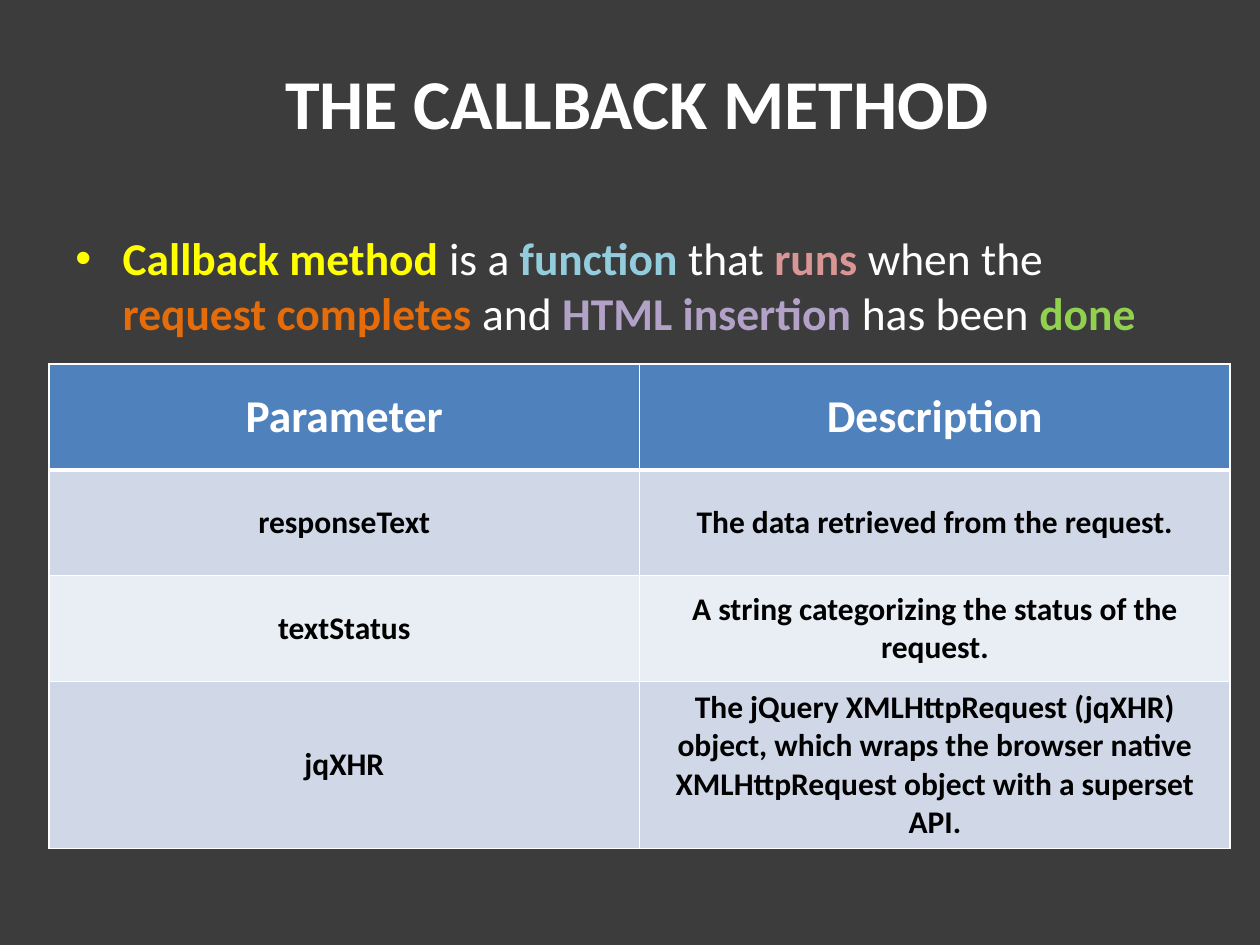
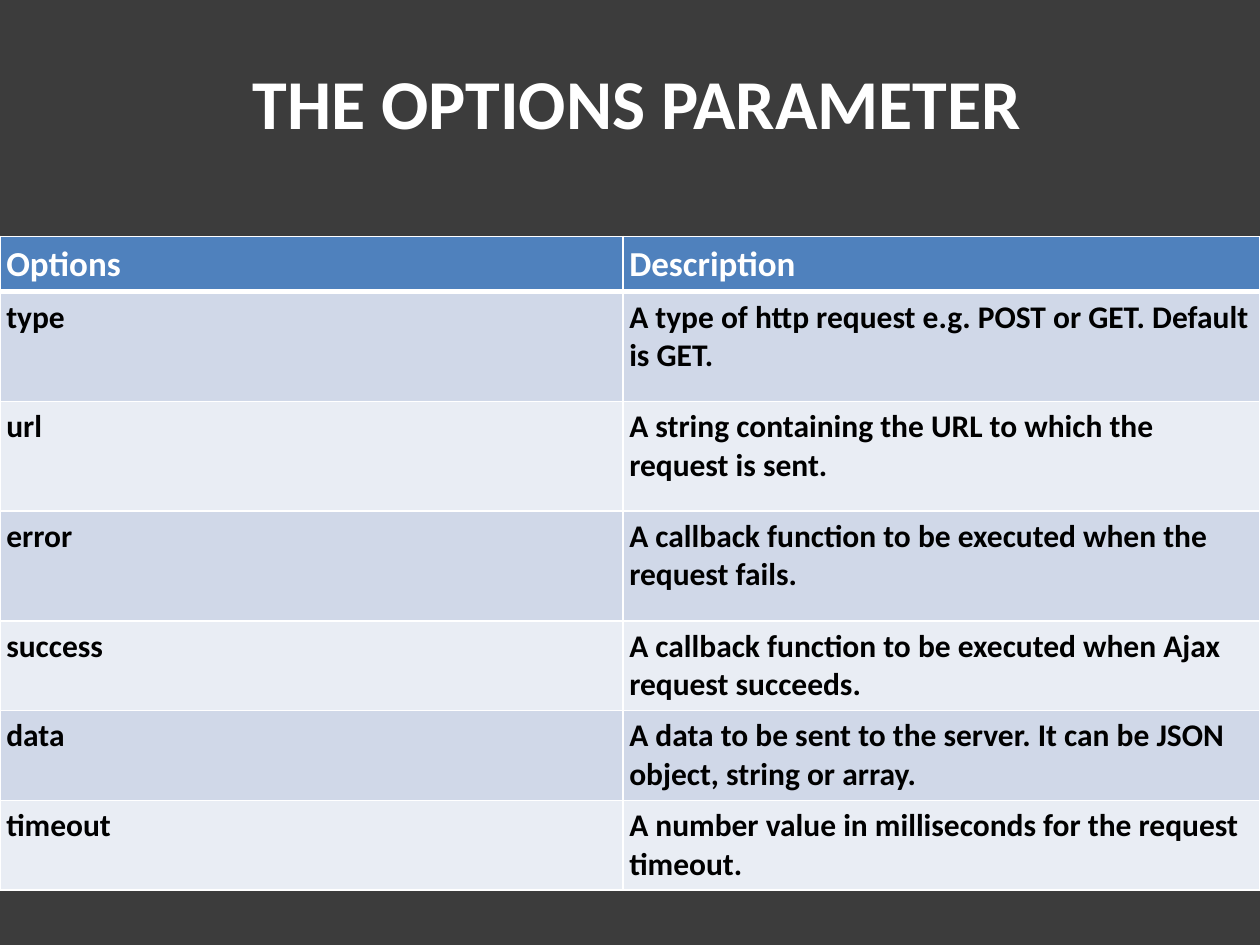
import lxml.etree
import pptx
import pptx.dml.color
import pptx.enum.text
import pptx.oxml
import pptx.oxml.ns
import pptx.util

Pt = pptx.util.Pt
ALIGN = pptx.enum.text.PP_ALIGN
ANCHOR = pptx.enum.text.MSO_ANCHOR

# Shared look
FONT = "Calibri"
BACKGROUND = "3C3C3C"
WHITE, BLACK = "FFFFFF", "000000"
HEADER_FILL = "4F81BD"
BAND_FILLS = ("D0D8E8", "E9EDF4")
TITLE_BOX = (28, 28, 672, 60)
THIN, THICK = 1, 3

# Content
CALLBACK_SUMMARY = [
    ("Callback method ", "FFFF00"),
    ("is a ", None),
    ("function", "93CDDD"),
    (" that ", None),
    ("runs", "D99694"),
    (" when the ", None),
    ("request completes", "E46C0A"),
    (" and ", None),
    ("HTML insertion ", "B3A2C7"),
    ("has been ", None),
    ("done", "92D050"),
]
CALLBACK_PARAMETERS = [
    ("Parameter", "Description"),
    ("responseText", "The data retrieved from the request."),
    ("textStatus", "A string categorizing the status of the request."),
    ("jqXHR", "The jQuery XMLHttpRequest (jqXHR) object, which wraps the browser "
              "native XMLHttpRequest object with a superset API."),
]
AJAX_OPTIONS = [
    ("Options", "Description"),
    ("type", "A type of http request e.g. POST or GET. Default is GET."),
    ("url", "A string containing the URL to which the request is sent."),
    ("error", "A callback function to be executed when the request fails."),
    ("success", "A callback function to be executed when Ajax request succeeds."),
    ("data", "A data to be sent to the server. It can be JSON object, string or array."),
    ("timeout", "A number value in milliseconds for the request timeout."),
]


def rgb(color):
    return pptx.dml.color.RGBColor.from_string(color)


def add_run(paragraph, text, size, color, bold=True):
    run = paragraph.add_run()
    run.text = text
    run.font.name = FONT
    run.font.size = Pt(size)
    run.font.bold = bold
    run.font.color.rgb = rgb(color)


def add_titled_slide(deck, heading):
    slide = deck.slides.add_slide(deck.slide_layouts[5])
    slide.background.fill.solid()
    slide.background.fill.fore_color.rgb = rgb(BACKGROUND)
    title = slide.shapes.title
    title.left, title.top, title.width, title.height = map(Pt, TITLE_BOX)
    frame = title.text_frame
    frame.vertical_anchor = ANCHOR.MIDDLE
    frame.paragraphs[0].alignment = ALIGN.CENTER
    add_run(frame.paragraphs[0], heading, 40, WHITE)
    return slide


def add_bullet(slide, box, pieces, size):
    """Add one bulleted paragraph; pieces with a colour are bold keywords."""
    frame = slide.shapes.add_textbox(*map(Pt, box)).text_frame
    frame.word_wrap = True
    paragraph = frame.paragraphs[0]
    properties = paragraph._p.get_or_add_pPr()
    properties.set("marL", str(Pt(27)))
    properties.set("indent", str(-Pt(27)))
    for tag, attribute, value in (("a:buFont", "typeface", "Arial"),
                                  ("a:buChar", "char", "•")):
        mark = lxml.etree.SubElement(properties, pptx.oxml.ns.qn(tag))
        mark.set(attribute, value)
    for text, keyword_color in pieces:
        add_run(paragraph, text, size, keyword_color or WHITE, bool(keyword_color))


def set_borders(cell, top, bottom):
    """Draw white borders; must run before the cell gets its fill."""
    properties = cell._tc.get_or_add_tcPr()
    for side, width in (("L", THIN), ("R", THIN), ("T", top), ("B", bottom)):
        properties.append(pptx.oxml.parse_xml(
            f'<a:ln{side} {pptx.oxml.ns.nsdecls("a")} w="{Pt(width)}">'
            f'<a:solidFill><a:srgbClr val="{WHITE}"/></a:solidFill></a:ln{side}>'))


def add_banded_table(slide, position, widths, heights, entries, header_size,
                     side_inset, alignment, header_anchor, body_anchor):
    frame = slide.shapes.add_table(
        len(entries), len(widths), *map(Pt, position), Pt(sum(widths)), Pt(sum(heights)))
    table = frame.table
    for column, width in zip(table.columns, widths):
        column.width = Pt(width)
    for index, (height, entry) in enumerate(zip(heights, entries)):
        table.rows[index].height = Pt(height)
        header = index == 0
        for cell, text in zip(table.rows[index].cells, entry):
            set_borders(cell, THICK if index == 1 else THIN, THICK if header else THIN)
            cell.fill.solid()
            cell.fill.fore_color.rgb = rgb(HEADER_FILL if header else BAND_FILLS[(index - 1) % 2])
            cell.margin_left = cell.margin_right = Pt(side_inset)
            cell.margin_top = cell.margin_bottom = Pt(3.6)
            cell.vertical_anchor = header_anchor if header else body_anchor
            paragraph = cell.text_frame.paragraphs[0]
            paragraph.alignment = alignment
            add_run(paragraph, text, header_size if header else 18, WHITE if header else BLACK)


def main():
    deck = pptx.Presentation()
    deck.slide_width, deck.slide_height = Pt(720), Pt(540)

    # Callback method and its parameters
    callback = add_titled_slide(deck, "THE CALLBACK METHOD")
    add_bullet(callback, (36, 128, 648, 72), CALLBACK_SUMMARY, 26)
    add_banded_table(callback, (28, 208), [337.5] * 2, [60.5] * 3 + [95.5],
                     CALLBACK_PARAMETERS, 26, 7.2, ALIGN.CENTER,
                     ANCHOR.MIDDLE, ANCHOR.MIDDLE)

    # Options table across the full slide width
    options = add_titled_slide(deck, "THE OPTIONS PARAMETER")
    add_banded_table(options, (0, 135), [356, 364], [31.5] + [62.7] * 3 + [51.3] * 3,
                     AJAX_OPTIONS, 20, 3.6, ALIGN.LEFT, ANCHOR.BOTTOM, ANCHOR.TOP)

    deck.save("out.pptx")


if __name__ == "__main__":
    main()
